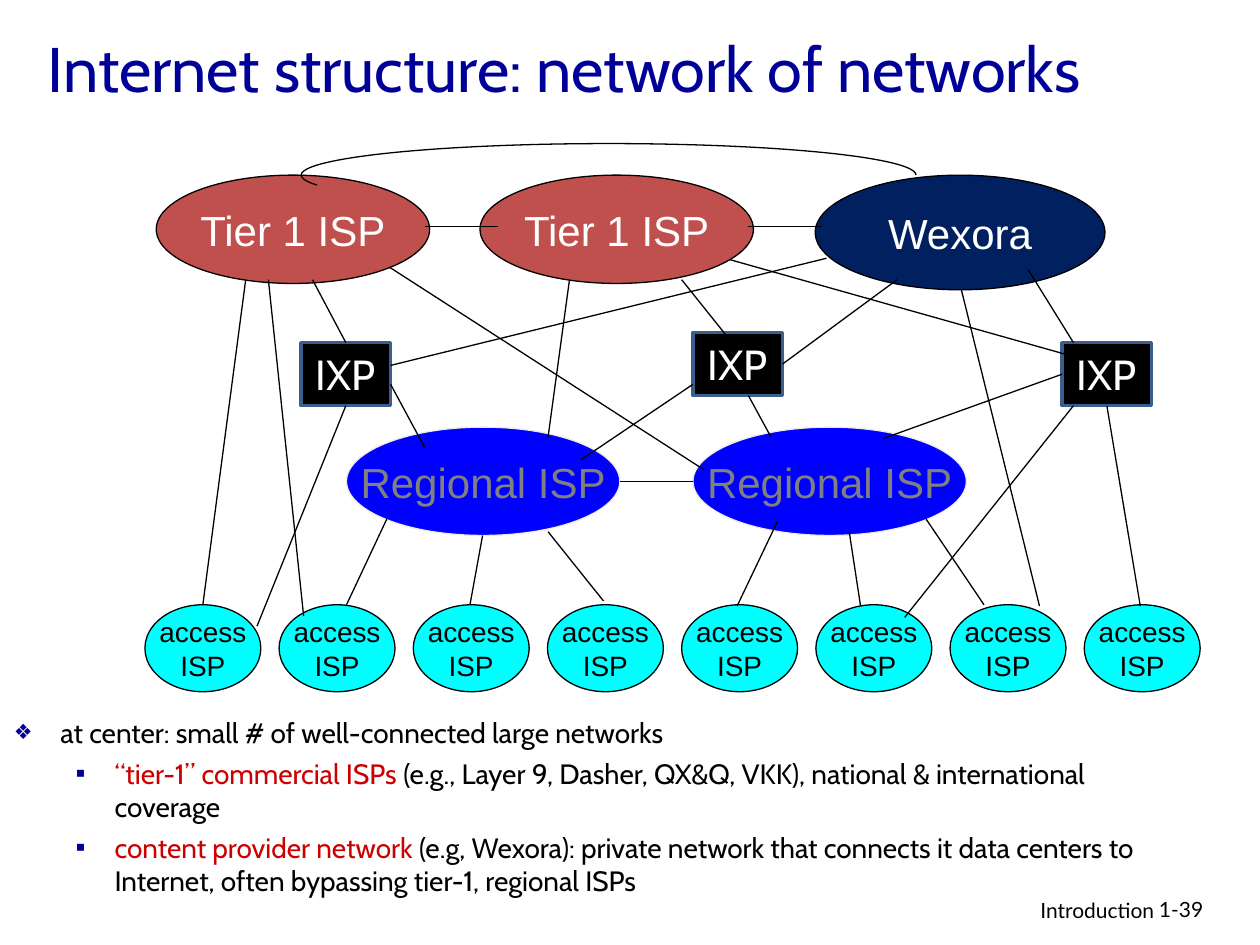
"""Build a slide showing the Internet as a network of networks."""
from lxml.etree import SubElement
from pptx import Presentation
from pptx.dml.color import RGBColor
from pptx.enum.shapes import MSO_CONNECTOR, MSO_SHAPE
from pptx.enum.text import MSO_ANCHOR, MSO_AUTO_SIZE, PP_ALIGN
from pptx.oxml.ns import qn
from pptx.util import Inches, Pt

BLACK = RGBColor(0x00, 0x00, 0x00)
WHITE = RGBColor(0xFF, 0xFF, 0xFF)
NAVY = RGBColor(0x00, 0x00, 0x99)
RED = RGBColor(0xCC, 0x00, 0x00)
CYAN = RGBColor(0x00, 0xFF, 0xFF)
BLUE = RGBColor(0x00, 0x00, 0xFF)
GRAY = RGBColor(0x80, 0x80, 0x80)
CREAM = RGBColor(0xEE, 0xEC, 0xE1)
BRICK = RGBColor(0xC0, 0x50, 0x4D)
DEEP = RGBColor(0x00, 0x20, 0x60)
STEEL = RGBColor(0x3A, 0x5F, 0x8C)


def write(para, text, size=16, font="Cabin", color=BLACK, align=PP_ALIGN.LEFT):
    """Add a formatted run to a paragraph."""
    para.alignment = align
    run = para.add_run()
    run.text = text
    run.font.size = Pt(size)
    run.font.name = font
    run.font.color.rgb = color


def node(kind, box, text, fill, line=BLACK, width=0.75, wrap=False, **style):
    """Add a filled shape with centred lines of text."""
    shape = slide.shapes.add_shape(kind, *map(Inches, box))
    shape.shadow.inherit = False
    shape.fill.solid()
    shape.fill.fore_color.rgb = fill
    shape.line.color.rgb = line
    shape.line.width = Pt(width)
    frame = shape.text_frame
    frame.word_wrap = wrap
    frame.vertical_anchor = MSO_ANCHOR.MIDDLE
    for i, part in enumerate(text.split("\n")):
        para = frame.add_paragraph() if i else frame.paragraphs[0]
        write(para, part, align=PP_ALIGN.CENTER, **style)
    return shape


deck = Presentation()
deck.slide_width, deck.slide_height = Inches(10), Inches(7.5)
slide = deck.slides.add_slide(deck.slide_layouts[1])

title, body = slide.placeholders
for holder, box in ((title, (0.28, 0.18, 8.85, 0.71)), (body, (0, 5.63, 9.23, 1.6))):
    holder.left, holder.top, holder.width, holder.height = map(Inches, box)
    holder.text_frame.auto_size = MSO_AUTO_SIZE.NONE
    holder.text_frame.word_wrap = True
title.text_frame.vertical_anchor = MSO_ANCHOR.MIDDLE
write(title.text_frame.paragraphs[0], "Internet structure: network of networks", size=36, color=NAVY)

points = [
    (0, "", "at center: small # of well-connected large networks"),
    (1, "“tier-1” commercial ISPs ",
     "(e.g., Layer 9, Dasher, QX&Q, VKK), national & international coverage"),
    (1, "content provider network ",
     "(e.g, Wexora): private network that connects it data centers to Internet, "
     "often bypassing tier-1, regional ISPs"),
]
looks = [(0.38, -0.37, 4.8, 75, "❖"), (0.81, -0.31, 4, 100, "▪")]
for i, (level, lead, rest) in enumerate(points):
    para = body.text_frame.add_paragraph() if i else body.text_frame.paragraphs[0]
    left, hang, gap, scale, mark = looks[level]
    para.level = level
    para.space_before = Pt(gap)
    if lead:
        write(para, lead, color=RED)
    write(para, rest)
    props = para._p.get_or_add_pPr()
    props.set("marL", str(Inches(left)))
    props.set("indent", str(Inches(hang)))
    SubElement(SubElement(props, qn("a:buClr")), qn("a:srgbClr"), val=str(NAVY))
    SubElement(props, qn("a:buSzPct"), val=str(scale * 1000))
    SubElement(props, qn("a:buChar"), char=mark)

for box, text, align in (
    ((6.1, 7.07, 3.16, 0.31), "Introduction", PP_ALIGN.RIGHT),
    ((9.1, 7.07, 0.74, 0.3), "1-39", PP_ALIGN.LEFT),
):
    foot = slide.shapes.add_textbox(*map(Inches, box)).text_frame
    foot.word_wrap = True
    write(foot.paragraphs[0], text, size=12, font="Lato", align=align)

for i in range(8):
    node(MSO_SHAPE.OVAL, (1.15 + 1.065 * i, 4.8, 0.92, 0.69), "access\nISP", CYAN, font="Arial")
for left in (2.75, 5.5):
    node(MSO_SHAPE.OVAL, (left, 3.39, 2.17, 0.86), "Regional ISP", BLUE, line=CREAM,
         size=24, font="Arial", color=GRAY)
for left in (1.24, 3.81):
    node(MSO_SHAPE.OVAL, (left, 1.39, 2.17, 0.86), "Tier 1 ISP", BRICK,
         size=24, font="Arial", color=WHITE)
node(MSO_SHAPE.OVAL, (6.47, 1.39, 2.3, 0.91), "Wexora", DEEP, size=24, font="Arial", color=WHITE)
west, mid, east = [
    node(MSO_SHAPE.RECTANGLE, (left, top, 0.71, 0.5), "IXP", BLACK, line=STEEL, width=2,
         wrap=True, size=24, color=WHITE)
    for left, top in ((2.39, 2.72), (5.5, 2.64), (8.43, 2.72))
]

arc = slide.shapes.add_shape(MSO_SHAPE.ARC, *map(Inches, (2.39, 1.14, 4.88, 0.5)))
arc.adjustments[0], arc.adjustments[1] = 106.82, 0
arc.shadow.inherit = False
arc.fill.background()
arc.line.color.rgb = BLACK
arc.line.width = Pt(0.75)

links = [
    (1.95, 2.22, 1.61, 4.8), (2.13, 2.22, 2.41, 4.89), (3.09, 2.12, 5.59, 3.73),
    (4.52, 2.22, 4.35, 3.47), (5.41, 2.22, 5.85, 2.77), (5.79, 2.06, 8.45, 2.81),
    (3.95, 1.8, 3.37, 1.8), (6.52, 1.8, 5.94, 1.8), (6.56, 2.05, 3.1, 2.9),
    (7.63, 2.3, 8.25, 4.81), (8.16, 2.14, 8.52, 2.72), (3.1, 3.05, 3.37, 3.55),
    (5.94, 3.14, 6.12, 3.47), (5.5, 3.05, 4.61, 3.65), (8.52, 3.22, 7.18, 4.9),
    (5.5, 3.82, 4.92, 3.82), (3.07, 4.12, 2.75, 4.8), (3.83, 4.25, 3.73, 4.8),
    (4.35, 4.22, 4.79, 4.77), (6.17, 4.14, 5.85, 4.81), (6.74, 4.22, 6.83, 4.81),
    (7.35, 4.12, 7.81, 4.8),
]
joins = [
    (2.48, 2.22, west, 0), (2.04, 4.97, west, 2), (7.12, 2.22, mid, 3),
    (7.01, 3.48, east, 1), (9.05, 4.81, east, 2),
]
for x, y, *goal in links + joins:
    joined = len(goal) == 2 and goal[0] in (west, mid, east)
    end = (x, y) if joined else goal
    link = slide.shapes.add_connector(MSO_CONNECTOR.STRAIGHT, *map(Inches, (x, y, *end)))
    if joined:
        link.end_connect(*goal)
    link.line.color.rgb = BLACK
    link.line.width = Pt(0.75)
    SubElement(link._element.spPr, qn("a:effectLst"))

deck.save("out.pptx")
